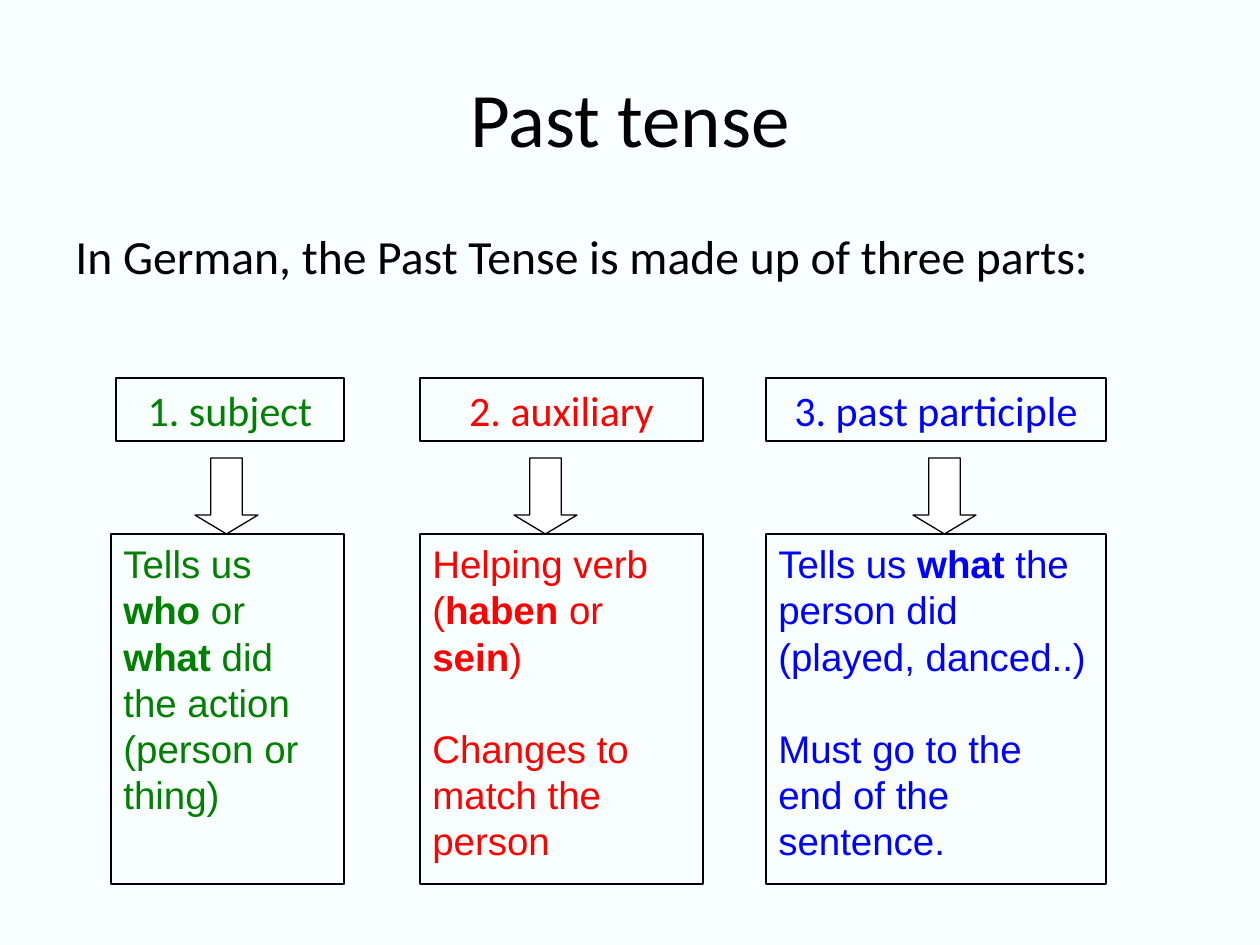
from dataclasses import dataclass

from pptx import Presentation
from pptx.dml.color import RGBColor
from pptx.enum.shapes import MSO_SHAPE
from pptx.enum.text import MSO_ANCHOR, PP_ALIGN
from pptx.util import Emu, Pt

RECTANGLE = MSO_SHAPE.RECTANGLE
DOWN_ARROW = MSO_SHAPE.DOWN_ARROW
TOP, MIDDLE = MSO_ANCHOR.TOP, MSO_ANCHOR.MIDDLE
LEFT, CENTER = PP_ALIGN.LEFT, PP_ALIGN.CENTER

EMU_PER_PX = 914400 / 126
BLACK, WHITE, BACKGROUND = "000000", "FFFFFF", "F9FFFF"
HEADING_TOP, HEADING_HEIGHT = 378, 63
ARROW_TOP, ARROW_WIDTH, ARROW_HEIGHT = 458, 63, 76
DETAIL_TOP, DETAIL_HEIGHT = 534, 350
DETAIL_LINE = Pt(26.4)
DETAIL_FORMAT = {"alignment": LEFT, "line_spacing": DETAIL_LINE}


@dataclass(frozen=True)
class Part:
    heading: str
    details: tuple[str, ...]
    color: str
    heading_left: int
    detail_left: int
    right: int
    arrow_left: int


PARTS = (
    Part("1. subject",
         ("Tells us *who* or *what* did the action (person or thing)",),
         "008000", 116, 111, 344, 195),
    Part("2. auxiliary",
         ("Helping verb (*haben* or *sein*)", "Changes to match the person"),
         "FF0000", 420, 420, 703, 514),
    Part("3. past participle",
         ("Tells us *what* the person did (played, danced..)",
          "Must go to the end of the sentence."),
         "0000FF", 766, 766, 1106, 913),
)


def px(length: int) -> Emu:
    return Emu(round(length * EMU_PER_PX))


def rgb(value: str) -> RGBColor:
    return RGBColor.from_string(value)


def apply(target, formats: dict) -> None:
    for attribute, value in formats.items():
        setattr(target, attribute, value)


def write(shape, texts: tuple[str, ...], font_name: str, size: float, color: str,
          paragraph_format: dict, anchor=TOP) -> None:
    """Fill a shape with paragraphs, where asterisks enclose bold words."""
    frame = shape.text_frame
    apply(frame, {"word_wrap": True, "vertical_anchor": anchor})
    for index, text in enumerate(texts):
        paragraph = frame.add_paragraph() if index else frame.paragraphs[0]
        apply(paragraph, paragraph_format)
        if index:
            paragraph.space_before = DETAIL_LINE
        for position, words in enumerate(text.split("*")):
            if words:
                run = paragraph.add_run()
                run.text = words
                apply(run.font, {"name": font_name, "size": Pt(size),
                                 "bold": position % 2 == 1})
                run.font.color.rgb = rgb(color)


def add_text(slide, text: str, left: int, top: int, width: int, height: int,
             size: float, alignment, anchor=TOP) -> None:
    box = slide.shapes.add_textbox(px(left), px(top), px(width), px(height))
    write(box, (text,), "Calibri", size, BLACK, {"alignment": alignment}, anchor)


def add_outlined(slide, preset, left: int, top: int, width: int, height: int):
    shape = slide.shapes.add_shape(preset, px(left), px(top), px(width), px(height))
    shape.shadow.inherit = False
    shape.fill.background()
    shape.line.color.rgb = rgb(BLACK)
    shape.line.width = Pt(0.75)
    return shape


def add_part(slide, part: Part) -> None:
    heading = add_outlined(slide, RECTANGLE, part.heading_left, HEADING_TOP,
                           part.right - part.heading_left, HEADING_HEIGHT)
    write(heading, (part.heading,), "Calibri", 24, part.color, {"alignment": CENTER})

    arrow = add_outlined(slide, DOWN_ARROW, part.arrow_left, ARROW_TOP,
                         ARROW_WIDTH, ARROW_HEIGHT)
    arrow.fill.solid()
    arrow.fill.fore_color.rgb = rgb(WHITE)
    arrow.adjustments[0], arrow.adjustments[1] = 0.5, 0.3

    detail = add_outlined(slide, RECTANGLE, part.detail_left, DETAIL_TOP,
                          part.right - part.detail_left, DETAIL_HEIGHT)
    write(detail, part.details, "Arial", 22, part.color, DETAIL_FORMAT)


def main() -> None:
    presentation = Presentation()
    apply(presentation, {"slide_width": px(1260), "slide_height": px(945)})
    slide = presentation.slides.add_slide(presentation.slide_layouts[6])
    slide.background.fill.solid()
    slide.background.fill.fore_color.rgb = rgb(BACKGROUND)

    add_text(slide, "Past tense", 63, 38, 1134, 158, 44, CENTER, MIDDLE)
    add_text(slide, "In German, the Past Tense is made up of three parts:",
             63, 221, 1134, 95, 27.2, LEFT)
    for part in PARTS:
        add_part(slide, part)
    presentation.save("out.pptx")


if __name__ == "__main__":
    main()
